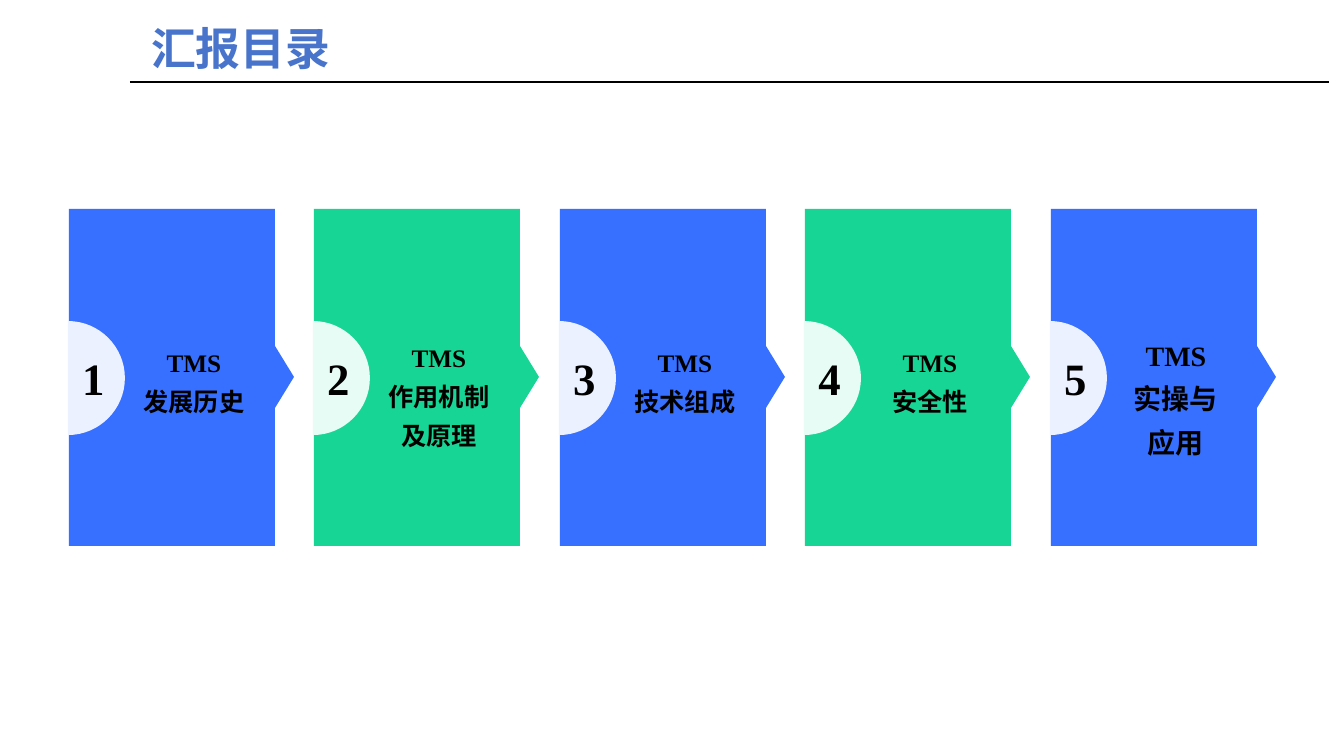
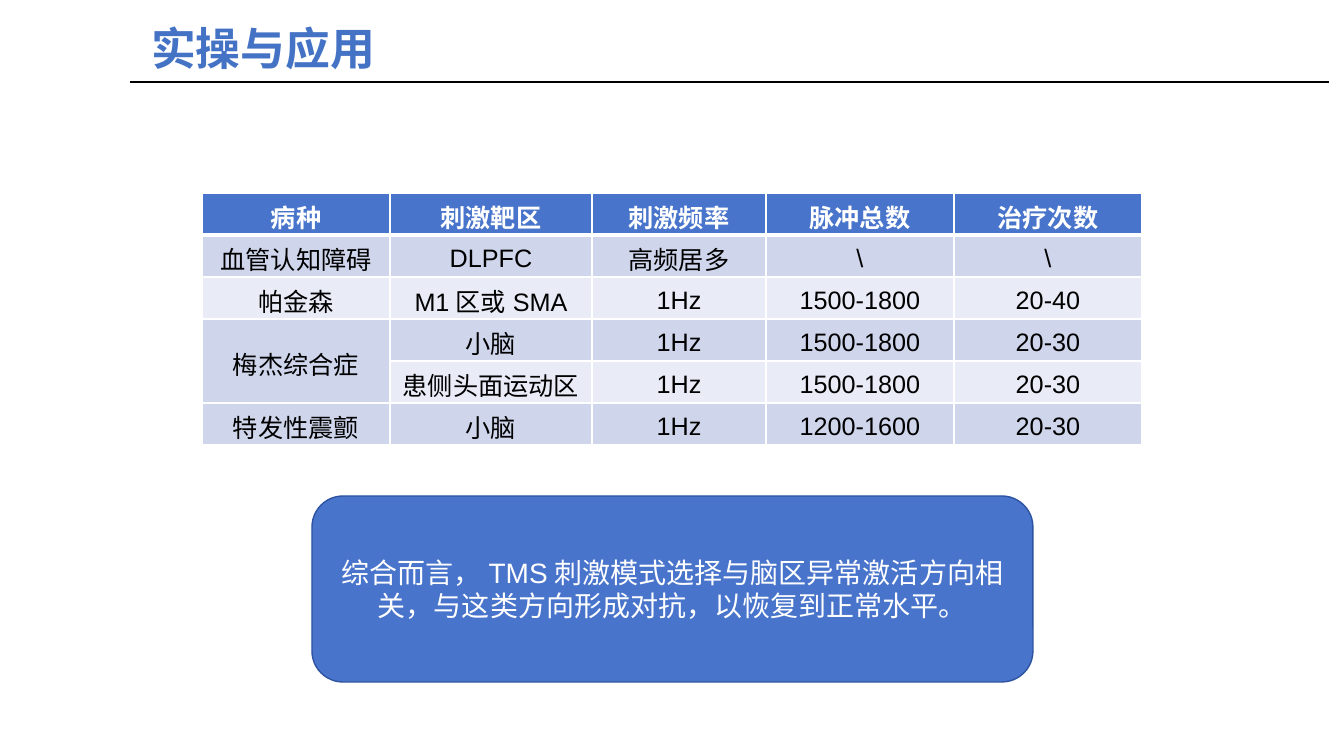
from lxml.etree import SubElement
from pptx import Presentation
from pptx.dml.color import RGBColor
from pptx.enum.shapes import MSO_CONNECTOR, MSO_SHAPE
from pptx.enum.text import MSO_ANCHOR, MSO_AUTO_SIZE, PP_ALIGN
from pptx.oxml.ns import qn
from pptx.util import Pt

SLIDE_WIDTH, SLIDE_HEIGHT = 1344, 756
EMU_PER_PX = 12192000 / SLIDE_WIDTH

COLORS = {
    "accent": "4874CB",
    "accent_soft": "4472C4",
    "accent_edge": "2E54A1",
    "blue": "376FFF",
    "blue_tint": "EBF1FF",
    "green": "17D594",
    "green_tint": "E6FCF5",
    "row_dark": "CFD6EC",
    "row_light": "E9EBF6",
    "black": "000000",
    "white": "FFFFFF",
}
HEADING_FONT, SERIF_FONT, BODY_FONT = "Noto Sans CJK SC", "Times New Roman", "Arial"

# Panel texts: heading, topic, text size, extra space above the text
PANELS = [
    ("TMS", "发展历史", 18, 0),
    ("TMS", "作用机制及原理", 18, 29),
    ("TMS", "技术组成", 18, 0),
    ("TMS", "安全性", 18, 0),
    ("TMS", "实操与应用", 20, 32),
]
PANEL_FIRST_LEFT, PANEL_LAST_LEFT = 69, 1051
PANEL_TOP, PANEL_WIDTH, PANEL_HEIGHT = 209, 206, 337
POINTER_DEPTH, POINTER_HALF = 19, 31
BADGE_RADIUS = 57
ARC_HANDLE = 0.55  # Bezier handle length of a quarter circle, in radii

COLUMN_WIDTHS = [188, 202, 174, 188, 188]
ROW_HEIGHT = 42
TREATMENTS = [
    ["病种", "刺激靶区", "刺激频率", "脉冲总数", "治疗次数"],
    ["血管认知障碍", "DLPFC", "高频居多", "\\", "\\"],
    ["帕金森", "M1区或SMA", "1Hz", "1500-1800", "20-40"],
    ["梅杰综合症", "小脑", "1Hz", "1500-1800", "20-30"],
    ["", "患侧头面运动区", "1Hz", "1500-1800", "20-30"],
    ["特发性震颤", "小脑", "1Hz", "1200-1600", "20-30"],
]


def px(length):
    return round(length * EMU_PER_PX)


def color(name):
    return RGBColor.from_string(COLORS[name])


def set_insets(frame, left, top, right, bottom):
    frame.margin_left, frame.margin_top = px(left), px(top)
    frame.margin_right, frame.margin_bottom = px(right), px(bottom)


def format_text(frame, font_name, size, color_name, bold=False,
                align=PP_ALIGN.CENTER, line_spacing=None):
    for para in frame.paragraphs:
        para.alignment = align
        para.line_spacing = line_spacing
        for run in para.runs:
            run.font.name = font_name
            run.font.size = Pt(size)
            run.font.bold = bold
            run.font.color.rgb = color(color_name)


def paint(shape, fill_name, line_name=None):
    shape.shadow.inherit = False
    shape.fill.solid()
    shape.fill.fore_color.rgb = color(fill_name)
    if line_name:
        shape.line.color.rgb = color(line_name)
        shape.line.width = Pt(1)
    else:
        shape.line.fill.background()


def add_outline(slide, points, fill_name):
    """Add a closed, filled polygon through points given in px."""
    start, *others = [(px(x), px(y)) for x, y in points]
    builder = slide.shapes.build_freeform(*start)
    builder.add_line_segments(others, close=True)
    shape = builder.convert_to_shape()
    paint(shape, fill_name)
    shape.text_frame.vertical_anchor = MSO_ANCHOR.MIDDLE
    return shape


def round_to_half_circle(shape):
    """Turn the two slanted sides of a right-pointing triangle into arcs."""
    radius = BADGE_RADIUS
    handle = radius * ARC_HANDLE
    curves = [
        [(handle, 0), (radius, radius - handle), (radius, radius)],
        [(radius, radius + handle), (handle, 2 * radius), (0, 2 * radius)],
    ]
    sides = list(shape._element.spPr.iter(qn("a:lnTo")))
    for side, points in zip(sides, curves):
        side.tag = qn("a:cubicBezTo")
        side.clear()
        for x, y in points:
            SubElement(side, qn("a:pt"), x=str(px(x)), y=str(px(y)))


def add_titled_slide(deck, title_text, title_color):
    """Add a slide with the shared title style and the rule beneath it."""
    slide = deck.slides.add_slide(deck.slide_layouts[5])
    title = slide.shapes.title
    title.left, title.top = px(141), px(16)
    title.width, title.height = px(908), px(65)
    frame = title.text_frame
    frame.text = title_text
    frame.auto_size = MSO_AUTO_SIZE.NONE
    frame.vertical_anchor = MSO_ANCHOR.TOP
    format_text(frame, HEADING_FONT, 32, title_color, True, PP_ALIGN.LEFT)

    rule = slide.shapes.add_connector(
        MSO_CONNECTOR.STRAIGHT, px(130), px(82), px(1329), px(82))
    rule.line.color.rgb = color("black")
    rule.line.width = Pt(0.75)
    SubElement(rule._element.spPr, qn("a:effectLst"))
    return slide


def add_panel(slide, left, hue, heading, topic, size, extra_top):
    right, bottom = left + PANEL_WIDTH, PANEL_TOP + PANEL_HEIGHT
    middle = PANEL_TOP + PANEL_HEIGHT // 2
    panel = add_outline(slide, [
        (left, PANEL_TOP),
        (right, PANEL_TOP),
        (right, middle - POINTER_HALF),
        (right + POINTER_DEPTH, middle),
        (right, middle + POINTER_HALF),
        (right, bottom),
        (left, bottom),
    ], hue)
    frame = panel.text_frame
    frame.word_wrap = True
    set_insets(frame, 72, 44 + extra_top, 47, 44)
    frame.text = f"{heading}\n{topic}"
    format_text(frame, SERIF_FONT, size, "black", True, line_spacing=1.3)


def add_badge(slide, left, hue, number):
    """Add the half circle that carries a panel's number."""
    middle = PANEL_TOP + PANEL_HEIGHT // 2 + 1
    badge = add_outline(slide, [
        (left, middle - BADGE_RADIUS),
        (left + BADGE_RADIUS, middle),
        (left, middle + BADGE_RADIUS),
    ], f"{hue}_tint")
    round_to_half_circle(badge)
    frame = badge.text_frame
    frame.word_wrap = False
    set_insets(frame, 10, 23, 16, 23)
    frame.text = str(number)
    format_text(frame, SERIF_FONT, 32, "black", True)


def add_cell_borders(cell, bottom_width):
    """Give a cell white borders, 1 pt except for the bottom one."""
    properties = cell._tc.get_or_add_tcPr()
    sides = [("a:lnL", 1), ("a:lnR", 1), ("a:lnT", 1), ("a:lnB", bottom_width)]
    for position, (tag, width) in enumerate(sides):
        border = SubElement(properties, qn(tag), w=str(Pt(width)))
        fill = SubElement(border, qn("a:solidFill"))
        SubElement(fill, qn("a:srgbClr"), val=COLORS["white"])
        properties.insert(position, border)


def add_treatment_table(slide, left, top):
    table = slide.shapes.add_table(
        len(TREATMENTS), len(COLUMN_WIDTHS), px(left), px(top),
        px(sum(COLUMN_WIDTHS)), px(ROW_HEIGHT * len(TREATMENTS))).table
    for column, width in zip(table.columns, COLUMN_WIDTHS):
        column.width = px(width)
    for row_index, texts in enumerate(TREATMENTS):
        is_header = row_index == 0
        band = "row_dark" if row_index % 2 else "row_light"
        for column_index, text in enumerate(texts):
            cell = table.cell(row_index, column_index)
            cell.fill.solid()
            cell.fill.fore_color.rgb = color("accent" if is_header else band)
            cell.vertical_anchor = MSO_ANCHOR.MIDDLE
            cell.margin_top, cell.margin_bottom = px(5), 0
            add_cell_borders(cell, 3 if is_header else 1)
            cell.text_frame.text = text
            format_text(cell.text_frame, BODY_FONT, 18,
                        "white" if is_header else "black", is_header)
    table.cell(3, 0).merge(table.cell(4, 0))


def add_summary_box(slide, left, top, width, height, text):
    box = slide.shapes.add_shape(
        MSO_SHAPE.ROUNDED_RECTANGLE, px(left), px(top), px(width), px(height))
    paint(box, "accent", "accent_edge")
    frame = box.text_frame
    frame.word_wrap = True
    frame.vertical_anchor = MSO_ANCHOR.MIDDLE
    frame.text = text
    format_text(frame, BODY_FONT, 20, "white")


def build_contents(deck):
    slide = add_titled_slide(deck, "汇报目录", "accent")
    span = PANEL_LAST_LEFT - PANEL_FIRST_LEFT
    for index, panel in enumerate(PANELS):
        left = PANEL_FIRST_LEFT + span * index // (len(PANELS) - 1)
        hue = "green" if index % 2 else "blue"
        add_panel(slide, left, hue, *panel)
        add_badge(slide, left - 1, hue, index + 1)


def build_practice(deck):
    slide = add_titled_slide(deck, "实操与应用", "accent_soft")
    add_treatment_table(slide, 202, 193)
    add_summary_box(
        slide, 312, 496, 721, 186,
        "综合而言，TMS刺激模式选择与脑区异常激活方向相关，"
        "与这类方向形成对抗，以恢复到正常水平。")


def main():
    deck = Presentation()
    deck.slide_width, deck.slide_height = px(SLIDE_WIDTH), px(SLIDE_HEIGHT)
    build_contents(deck)
    build_practice(deck)
    deck.save("out.pptx")


if __name__ == "__main__":
    main()
